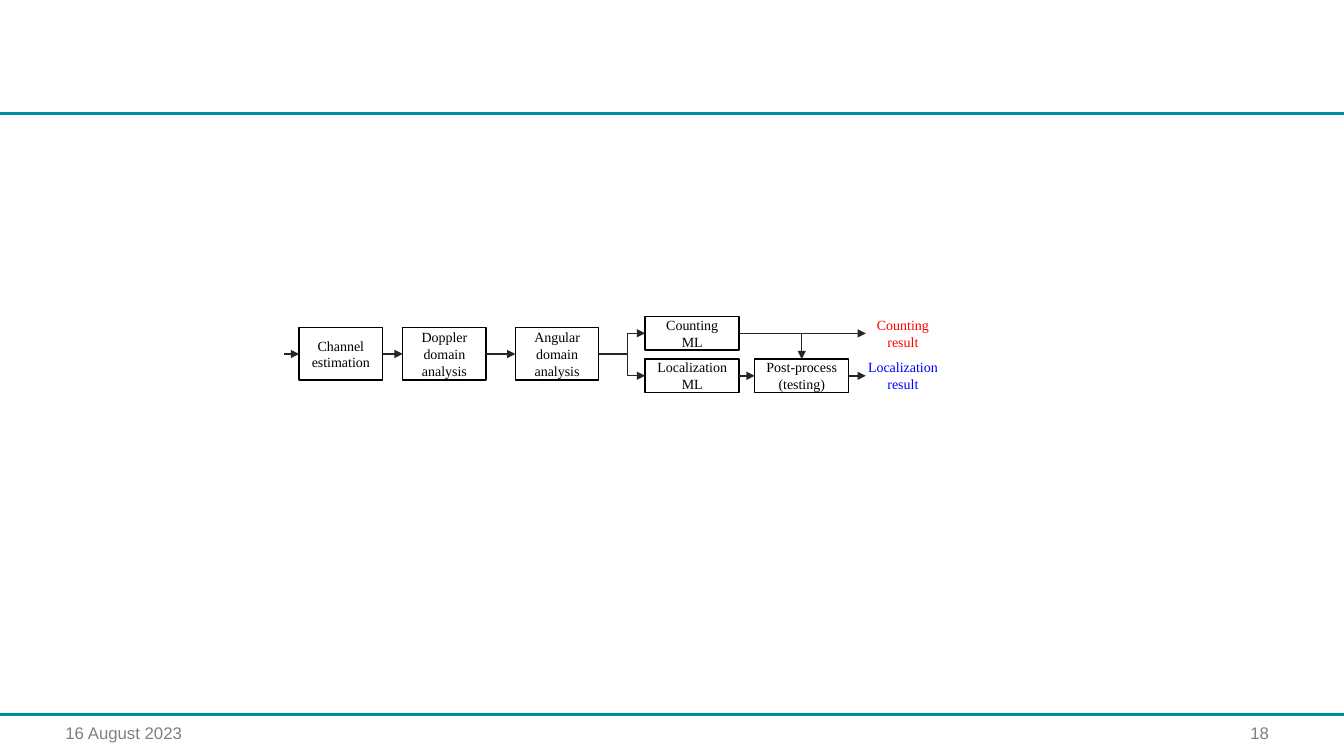
from dataclasses import dataclass

from lxml import etree
from pptx import Presentation
from pptx import util as u
from pptx.dml.color import RGBColor
from pptx.enum import shapes, text
from pptx.oxml.ns import qn

TOP, LEFT, BOTTOM, RIGHT = range(4)
STRAIGHT = shapes.MSO_CONNECTOR.STRAIGHT
ELBOW = shapes.MSO_CONNECTOR.ELBOW


@dataclass(frozen=True)
class Theme:
    rule: str = "008C9F"
    footer: str = "808080"
    ink: str = "000000"
    paper: str = "FFFFFF"
    arrow: str = "262626"
    counting: str = "FF0000"
    localization: str = "0000FF"
    footer_font: str = "Arial"
    diagram_font: str = "Times New Roman"
    footer_size: int = 12
    diagram_size: int = 10
    rule_width: int = 2
    line_width: int = 1


THEME = Theme()


def write(frame, lines, font, size, color, align):
    """Fill a text frame with one paragraph per line."""
    frame.word_wrap = True
    for i, line in enumerate(lines):
        paragraph = frame.paragraphs[0] if i == 0 else frame.add_paragraph()
        paragraph.text = line
        paragraph.alignment = align
        paragraph.font.name = font
        paragraph.font.size = u.Pt(size)
        paragraph.font.color.rgb = RGBColor.from_string(color)


def write_centred(frame, lines, color):
    frame.margin_left = frame.margin_right = u.Cm(0)
    frame.margin_top = frame.margin_bottom = u.Cm(0)
    frame.vertical_anchor = text.MSO_ANCHOR.MIDDLE
    write(frame, lines, THEME.diagram_font, THEME.diagram_size, color,
          text.PP_ALIGN.CENTER)


def add_line(slide, kind, start, end, color, width):
    line = slide.shapes.add_connector(kind, *map(u.Cm, start + end))
    line.line.color.rgb = RGBColor.from_string(color)
    line.line.width = u.Pt(width)
    etree.SubElement(line._element.spPr, qn("a:effectLst"))
    return line


def add_arrow(slide, start=(0, 0), end=(0, 0), source=None, target=None,
              entry=LEFT, kind=STRAIGHT):
    """Arrow between points or blocks; a block's right side is its exit."""
    arrow = add_line(slide, kind, start, end, THEME.arrow, THEME.line_width)
    if source is not None:
        arrow.begin_connect(source, RIGHT)
    if target is not None:
        arrow.end_connect(target, entry)
    outline = arrow.line._get_or_add_ln()
    etree.SubElement(outline, qn("a:tailEnd"), type="triangle")
    return arrow


def bend_at(arrow, share):
    """Put the elbow's middle leg at a share of its width."""
    guides = arrow._element.spPr.find(qn("a:prstGeom")).get_or_add_avLst()
    etree.SubElement(guides, qn("a:gd"), name="adj1",
                     fmla=f"val {round(share * 100000)}")


def bend_once(arrow):
    arrow._element.spPr.find(qn("a:prstGeom")).set("prst", "bentConnector2")


def add_block(slide, left, middle, width, height, lines):
    block = slide.shapes.add_shape(
        shapes.MSO_SHAPE.RECTANGLE, u.Cm(left), u.Cm(middle - height / 2),
        u.Cm(width), u.Cm(height))
    block.shadow.inherit = False
    block.fill.solid()
    block.fill.fore_color.rgb = RGBColor.from_string(THEME.paper)
    block.line.color.rgb = RGBColor.from_string(THEME.ink)
    block.line.width = u.Pt(THEME.line_width)
    write_centred(block.text_frame, lines, THEME.ink)
    return block


def add_result(slide, left, middle, lines, color):
    width, height = 2.37, 0.74
    result = slide.shapes.add_textbox(
        u.Cm(left), u.Cm(middle - height / 2), u.Cm(width), u.Cm(height))
    write_centred(result.text_frame, lines, color)


def draw_frame(slide, width, header_y, footer_y):
    """Rules across the slide, with date and page number below the second."""
    for y in (header_y, footer_y):
        add_line(slide, STRAIGHT, (0, y), (width, y), THEME.rule,
                 THEME.rule_width)
    for left, box_width, words, align in (
            (1.4, 7.37, "16 August 2023", text.PP_ALIGN.LEFT),
            (23.93, 8.3, "18", text.PP_ALIGN.RIGHT)):
        note = slide.shapes.add_textbox(
            u.Cm(left), u.Cm(footer_y + 0.08), u.Cm(box_width), u.Cm(1.02))
        write(note.text_frame, [words], THEME.footer_font, THEME.footer_size,
              THEME.footer, align)


def draw_pipeline(slide, left, top):
    """Processing chain that splits into counting and localization."""
    upper, centre, lower = top + 0.42, top + 0.94, top + 1.49
    steps = [add_block(slide, left + offset, centre, 2.1, 1.32, lines)
             for offset, lines in (
                 (0.38, ["Channel", "estimation"]),
                 (2.99, ["Doppler domain analysis"]),
                 (5.83, ["Angular domain analysis"]))]
    localization, counting, post_process = [
        add_block(slide, left + offset, middle, 2.37, 0.84, lines)
        for offset, middle, lines in (
            (9.1, lower, ["Localization", "ML"]),
            (9.1, upper, ["Counting", "ML"]),
            (11.86, lower, ["Post-process", "(testing)"]))]

    add_arrow(slide, start=(left, centre), target=steps[0])
    for source, target in zip(steps, steps[1:]):
        add_arrow(slide, source=source, target=target)
    for branch in (counting, localization):
        bend_at(add_arrow(slide, source=steps[-1], target=branch, kind=ELBOW),
                0.62)
    bend_once(add_arrow(slide, source=counting, target=post_process,
                        entry=TOP, kind=ELBOW))
    add_arrow(slide, source=localization, target=post_process)

    for source, middle, lines, color in (
            (counting, upper, ["Counting", "result"], THEME.counting),
            (post_process, lower, ["Localization", "result"],
             THEME.localization)):
        add_result(slide, left + 14.41, middle, lines, color)
        add_arrow(slide, end=(left + 14.66, middle), source=source)


def main():
    deck = Presentation()
    deck.slide_width, deck.slide_height = u.Cm(33.87), u.Cm(19.05)
    slide = deck.slides.add_slide(deck.slide_layouts[6])
    draw_frame(slide, width=33.87, header_y=2.85, footer_y=18)
    draw_pipeline(slide, left=7.16, top=7.98)
    deck.save("out.pptx")


if __name__ == "__main__":
    main()
